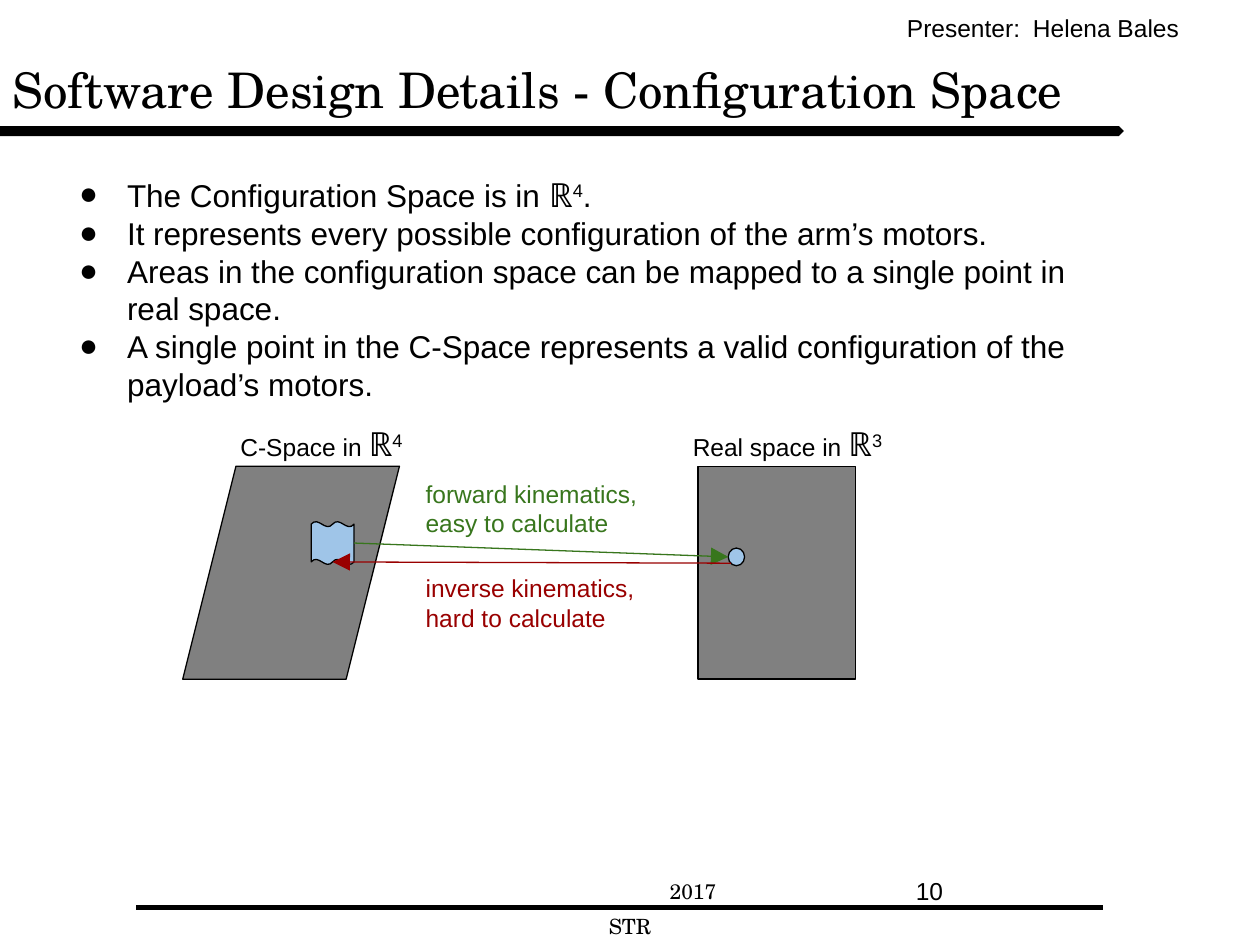
from lxml import etree
from pptx import Presentation
from pptx.dml.color import RGBColor
from pptx.enum import shapes, text
from pptx.oxml import ns
from pptx.util import Inches, Pt

BLACK = RGBColor(0x00, 0x00, 0x00)
GREY = RGBColor(0x80, 0x80, 0x80)
BLUE = RGBColor(0x9F, 0xC5, 0xE8)
GREEN = RGBColor(0x38, 0x76, 0x1D)
RED = RGBColor(0x99, 0x00, 0x00)
SANS = "Arial"
SERIF = "TeX Gyre Schola"
SHAPE = shapes.MSO_SHAPE


def add_run(p, words, size, color=BLACK, font=SANS, superscript=False):
    r = p.add_run()
    r.text = words
    r.font.size = Pt(size)
    r.font.name = font
    r.font.color.rgb = color
    if superscript:
        r.font._element.set("baseline", "30000")


def add_space_symbol(p, dimension):
    """Real coordinate space with its dimension raised."""
    add_run(p, "ℝ", 19)
    add_run(p, dimension, 18, superscript=True)


def add_box(s, left, top, width, height, inset=0.1):
    sp = s.shapes.add_textbox(Inches(left), Inches(top), Inches(width), Inches(height))
    tf = sp.text_frame
    tf.word_wrap = True
    tf.margin_left = tf.margin_right = Inches(0.1)
    tf.margin_top = tf.margin_bottom = Inches(inset)
    return tf


def add_label(s, box, lines, size=14, color=BLACK, font=SANS, inset=0.1, align=None):
    tf = add_box(s, *box, inset=inset)
    for i, line in enumerate(lines):
        p = tf.paragraphs[0] if i == 0 else tf.add_paragraph()
        p.alignment = align
        add_run(p, line, size, color, font)
    return tf


def add_space_label(s, box, words, dimension):
    p = add_label(s, box, [words]).paragraphs[0]
    add_space_symbol(p, dimension)


def add_bullet(p):
    pPr = p._p.get_or_add_pPr()
    pPr.set("marL", str(Inches(0.5)))
    pPr.set("indent", str(Inches(-0.38)))
    color = etree.SubElement(pPr, ns.qn("a:buClr"))
    etree.SubElement(color, ns.qn("a:srgbClr")).set("val", str(BLACK))
    etree.SubElement(pPr, ns.qn("a:buFont")).set("typeface", SANS)
    etree.SubElement(pPr, ns.qn("a:buChar")).set("char", "●")


def add_figure(s, kind, left, top, width, height, fill, outlined=True):
    sp = s.shapes.add_shape(kind, Inches(left), Inches(top), Inches(width), Inches(height))
    sp.shadow.inherit = False
    sp.fill.solid()
    sp.fill.fore_color.rgb = fill
    if outlined:
        sp.line.color.rgb = BLACK
        sp.line.width = Pt(0.75)
    else:
        sp.line.fill.background()
    return sp


def add_line(s, start, end, color, width=0.75, arrow=False):
    points = [Inches(v) for v in (*start, *end)]
    line = s.shapes.add_connector(shapes.MSO_CONNECTOR.STRAIGHT, *points)
    line.line.color.rgb = color
    line.line.width = Pt(width)
    if arrow:
        head = etree.SubElement(line.line._get_or_add_ln(), ns.qn("a:tailEnd"))
        for key, value in (("type", "triangle"), ("w", "lg"), ("len", "lg")):
            head.set(key, value)
    etree.SubElement(line._element.spPr, ns.qn("a:effectLst"))


def add_frame(s):
    # Footer
    for words, left, top in (("2017", 4, 6.92), ("STR", 3.5, 7.2)):
        add_label(s, (left, top, 3, 0.3), [words], 12, font=SERIF, inset=0.05,
                  align=text.PP_ALIGN.CENTER)
    add_line(s, (1.08, 7.2), (8.75, 7.2), BLACK, 3)
    add_label(s, (7.17, 6.9, 2.33, 0.52), ["10"], inset=0.05)

    # Header and title
    add_label(s, (7.1, 0, 2.9, 0.42), ["Presenter:"])
    add_label(s, (8.1, 0, 1.9, 0.45), ["Helena Bales"])
    add_figure(s, SHAPE.PENTAGON, 0, 1, 8.92, 0.08, BLACK, outlined=False)
    title = add_label(s, (0, 0.08, 9, 1.25),
                      ["Software Design Details - Configuration Space"], 28, font=SERIF)
    title.vertical_anchor = text.MSO_ANCHOR.MIDDLE


def add_body(s):
    tf = add_box(s, 0.41, 1.28, 8.59, 5.27)
    p = tf.paragraphs[0]
    add_bullet(p)
    add_run(p, "The Configuration Space is in ", 18)
    add_space_symbol(p, "4")
    add_run(p, ".", 18)
    for words in (
        "It represents every possible configuration of the arm’s motors.",
        "Areas in the configuration space can be mapped to a single point in real space.",
        "A single point in the C-Space represents a valid configuration of the "
        "payload’s motors.",
    ):
        p = tf.add_paragraph()
        add_bullet(p)
        add_run(p, words, 18)


def add_diagram(s):
    # The two spaces, with an area in one and a point in the other
    add_figure(s, SHAPE.PARALLELOGRAM, 1.45, 3.7, 1.72, 1.69, GREY)
    add_figure(s, SHAPE.RECTANGLE, 5.54, 3.7, 1.25, 1.69, GREY)
    area = add_figure(s, SHAPE.DOUBLE_WAVE, 2.47, 4.14, 0.34, 0.34, BLUE)
    area.adjustments[0] = 0.06
    add_figure(s, SHAPE.OVAL, 5.78, 4.35, 0.13, 0.14, BLUE)
    add_space_label(s, (1.81, 3.26, 1.64, 0.45), "C-Space in ", "4")
    add_space_label(s, (5.4, 3.26, 1.9, 0.45), "Real space in ", "3")

    # Mappings between the spaces
    add_line(s, (2.81, 4.31), (5.78, 4.42), GREEN, arrow=True)
    add_label(s, (3.28, 3.7, 1.9, 0.61), ["forward kinematics,", "easy to calculate"],
              color=GREEN)
    add_line(s, (5.8, 4.47), (2.64, 4.46), RED, arrow=True)
    add_label(s, (3.28, 4.45, 1.9, 0.61), ["inverse kinematics,", "hard to calculate"],
              color=RED)


def main():
    prs = Presentation()
    prs.slide_width, prs.slide_height = Inches(10), Inches(7.5)
    s = prs.slides.add_slide(prs.slide_layouts[6])
    add_frame(s)
    add_body(s)
    add_diagram(s)
    prs.save("out.pptx")


if __name__ == "__main__":
    main()
